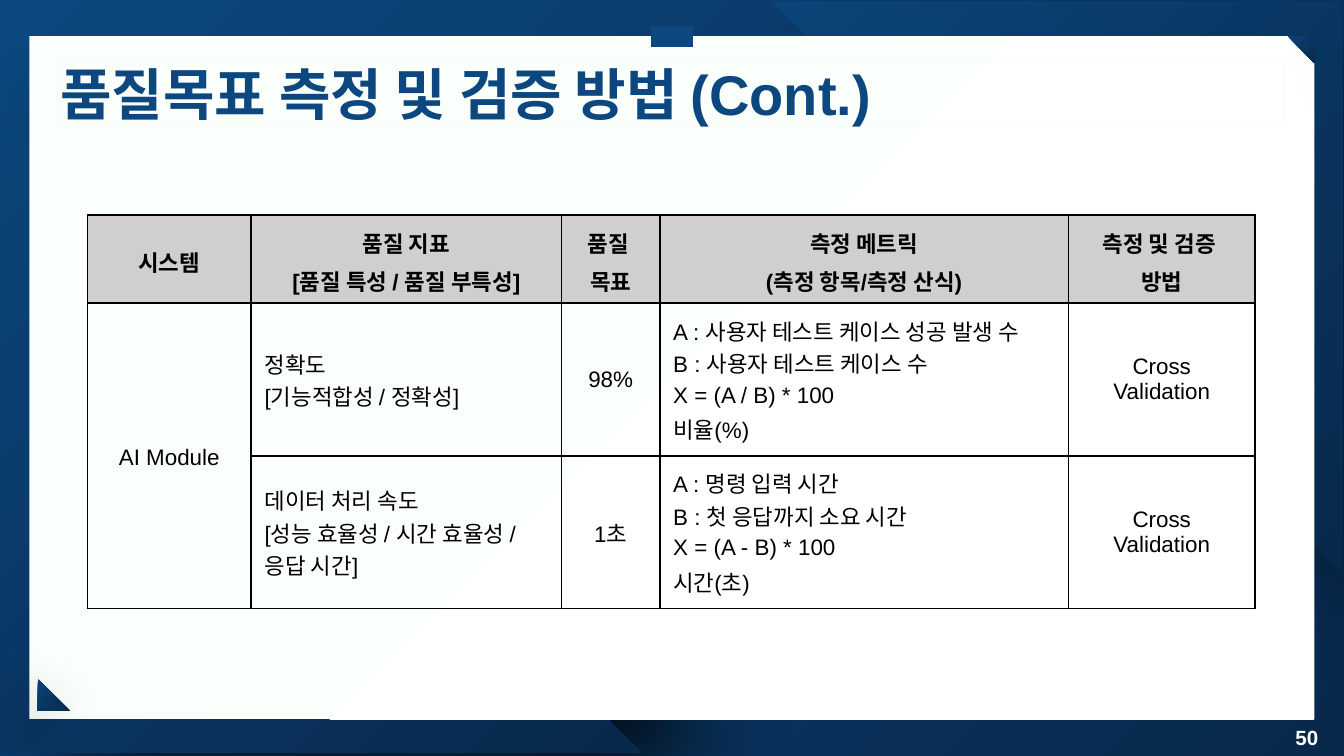
"""Builds the slide on measuring and verifying quality goals."""
from lxml.etree import SubElement
from pptx import Presentation
from pptx.dml.color import RGBColor
from pptx.enum.shapes import MSO_CONNECTOR, MSO_SHAPE
from pptx.enum.text import MSO_ANCHOR, MSO_AUTO_SIZE, PP_ALIGN
from pptx.oxml import parse_xml
from pptx.oxml.ns import nsdecls, qn
from pptx.util import Pt

TITLE = "품질목표 측정 및 검증 방법 (Cont.)"
PAGE = "50"
ROWS = [
    ["시스템", "품질 지표\n[품질 특성 / 품질 부특성]", "품질 \n목표",
     "측정 메트릭\n(측정 항목/측정 산식)", "측정 및 검증 \n방법"],
    ["AI Module", "정확도\n[기능적합성 / 정확성]", "98%",
     "A : 사용자 테스트 케이스 성공 발생 수\nB : 사용자 테스트 케이스 수\nX = (A / B) * 100\n비율(%)",
     "Cross Validation"],
    ["", "데이터 처리 속도\n[성능 효율성 / 시간 효율성 / 응답 시간]", "1초",
     "A : 명령 입력 시간\nB : 첫 응답까지 소요 시간\nX = (A - B) * 100\n시간(초)",
     "Cross Validation"],
]
COL_WIDTHS = [87.8, 166.3, 52.6, 218.9, 100.1]
ROW_HEIGHTS = [47, 81.5, 81.5]
LEFT_COLS = (1, 3)
NAVY, BLUE, CORNER_BLUE = "08294C", "0C477F", "0B4479"
BLACK, WHITE, HEADER = "000000", "FFFFFF", "D0CECE"

# (left, top, size), rotation, (opacity %, blur, distance, angle)
BACK_CORNERS = [
    ((0, 59.8, 343.4), 0, (100, 53, 40, 0)),
    ((413.3, 0.7, 306), 180, (39, 53, 41, 45)),
]
FRONT_CORNERS = [
    ((689.8, 19.4, 14.4), 180, (100, 53, 40, 0)),
    ((20.2, 363.6, 17.3), 0, (56, 35, 14, 135)),
]


def rgb(color):
    """Turn a hex string into a colour."""
    return RGBColor.from_string(color)


def radial(fill, inner, outer):
    """Fill with a gradient that spreads from the bottom right corner."""
    fill.gradient()
    for stop, color, pos in zip(fill.gradient_stops, (inner, outer), (0, 1)):
        stop.color.rgb = rgb(color)
        stop.position = pos
    grad = fill._xPr.find(qn("a:gradFill"))
    grad.replace(grad.find(qn("a:lin")), parse_xml(
        f'<a:path {nsdecls("a")} path="circle"><a:fillToRect l="100000" t="100000"/></a:path>'))


def add_panel(s, kind, box, inner, outer):
    """Add an unlined shape with a radial fill."""
    sp = s.shapes.add_shape(kind, *map(Pt, box))
    sp.adjustments[0] = 0
    sp.shadow.inherit = False
    sp.line.fill.background()
    radial(sp.fill, inner, outer)
    return sp


def add_corners(s, corners):
    """Add right triangles with soft shadows."""
    for (left, top, size), rotation, (opacity, blur, dist, angle) in corners:
        sp = add_panel(s, MSO_SHAPE.ISOSCELES_TRIANGLE, (left, top, size, size), NAVY, CORNER_BLUE)
        sp.rotation = rotation
        effects = sp._element.spPr.find(qn("a:effectLst"))
        effects.append(parse_xml(
            f'<a:outerShdw {nsdecls("a")} blurRad="{Pt(blur)}" dist="{Pt(dist)}" '
            f'dir="{angle * 60000}" algn="ctr" rotWithShape="0"><a:srgbClr val="{BLACK}">'
            f'<a:alpha val="{opacity * 1000}"/></a:srgbClr></a:outerShdw>'))


def format_text(p, size, color, bold, align):
    """Format one paragraph and its runs."""
    p.alignment = align
    for r in p.runs:
        r.font.name = "Arial"
        r.font.size = Pt(size)
        r.font.bold = bold
        r.font.color.rgb = rgb(color)


def set_line_text(sp, text, size, color, align):
    """Set bold, middle-anchored text without insets."""
    tf = sp.text_frame
    tf.text = text
    tf.word_wrap = True
    tf.auto_size = MSO_AUTO_SIZE.NONE
    tf.vertical_anchor = MSO_ANCHOR.MIDDLE
    tf.margin_left = tf.margin_right = tf.margin_top = tf.margin_bottom = 0
    format_text(tf.paragraphs[0], size, color, True, align)


def add_borders(cell):
    """Draw thin black lines on all four sides of a cell."""
    tc_pr = cell._tc.get_or_add_tcPr()
    for i, side in enumerate(("lnL", "lnR", "lnT", "lnB")):
        tc_pr.insert(i, parse_xml(
            f'<a:{side} {nsdecls("a")} w="{Pt(1)}"><a:solidFill>'
            f'<a:srgbClr val="{BLACK}"/></a:solidFill></a:{side}>'))


def add_quality_table(s):
    """Add the table of quality goals and metrics."""
    frame = s.shapes.add_table(len(ROWS), len(COL_WIDTHS), Pt(46.8), Pt(115.2),
                               Pt(sum(COL_WIDTHS)), Pt(sum(ROW_HEIGHTS)))
    table = frame.table
    for col, width in zip(table.columns, COL_WIDTHS):
        col.width = Pt(width)
    for row, height in zip(table.rows, ROW_HEIGHTS):
        row.height = Pt(height)
    table.cell(1, 0).merge(table.cell(2, 0))
    for i, texts in enumerate(ROWS):
        for j, text in enumerate(texts):
            cell = table.cell(i, j)
            label = i == 0 or j == 0
            if i == 0:
                cell.fill.solid()
                cell.fill.fore_color.rgb = rgb(HEADER)
            else:
                cell.fill.background()
            add_borders(cell)
            if cell.is_spanned:
                continue
            cell.vertical_anchor = MSO_ANCHOR.MIDDLE
            cell.margin_left = cell.margin_right = Pt(7.2)
            cell.margin_top = cell.margin_bottom = Pt(3.6 if label else 5.76)
            cell.text_frame.text = text
            align = PP_ALIGN.LEFT if i and j in LEFT_COLS else PP_ALIGN.CENTER
            for k, p in enumerate(cell.text_frame.paragraphs):
                format_text(p, 12, BLACK, i == 0, align)
                if label or k >= 2:
                    p.line_spacing = 1.15


def main():
    """Build and save the slide."""
    prs = Presentation()
    prs.slide_width, prs.slide_height = Pt(720), Pt(405)
    s = prs.slides.add_slide(prs.slide_layouts[5])
    radial(s.background.fill, NAVY, BLUE)

    add_corners(s, BACK_CORNERS)
    add_panel(s, MSO_SHAPE.ROUNDED_RECTANGLE, (15.8, 19.4, 688.3, 365.8), WHITE, "FBFFFB")
    tab = s.shapes.add_connector(MSO_CONNECTOR.STRAIGHT, Pt(348.5), Pt(19.4), Pt(371.5), Pt(19.4))
    tab.line.color.rgb = rgb(BLUE)
    tab.line.width = Pt(11.25)
    SubElement(tab._element.spPr, qn("a:effectLst"))
    add_corners(s, FRONT_CORNERS)

    title = s.shapes.title
    title.left, title.top, title.width, title.height = map(Pt, (32.4, 33.1, 655.2, 33.8))
    set_line_text(title, TITLE, 30, BLUE, PP_ALIGN.LEFT)
    title.line.color.rgb = rgb("D8D8D8")
    title.line.width = Pt(0.75)
    SubElement(title.line.fill._xPr.find(f".//{qn('a:srgbClr')}"), qn("a:alpha"), val="5000")
    title._element.getparent().append(title._element)

    number = s.shapes.add_textbox(*map(Pt, (672.5, 388.8, 33.8, 12.2)))
    set_line_text(number, PAGE, 11, WHITE, PP_ALIGN.RIGHT)
    add_quality_table(s)
    prs.save("out.pptx")


if __name__ == "__main__":
    main()
